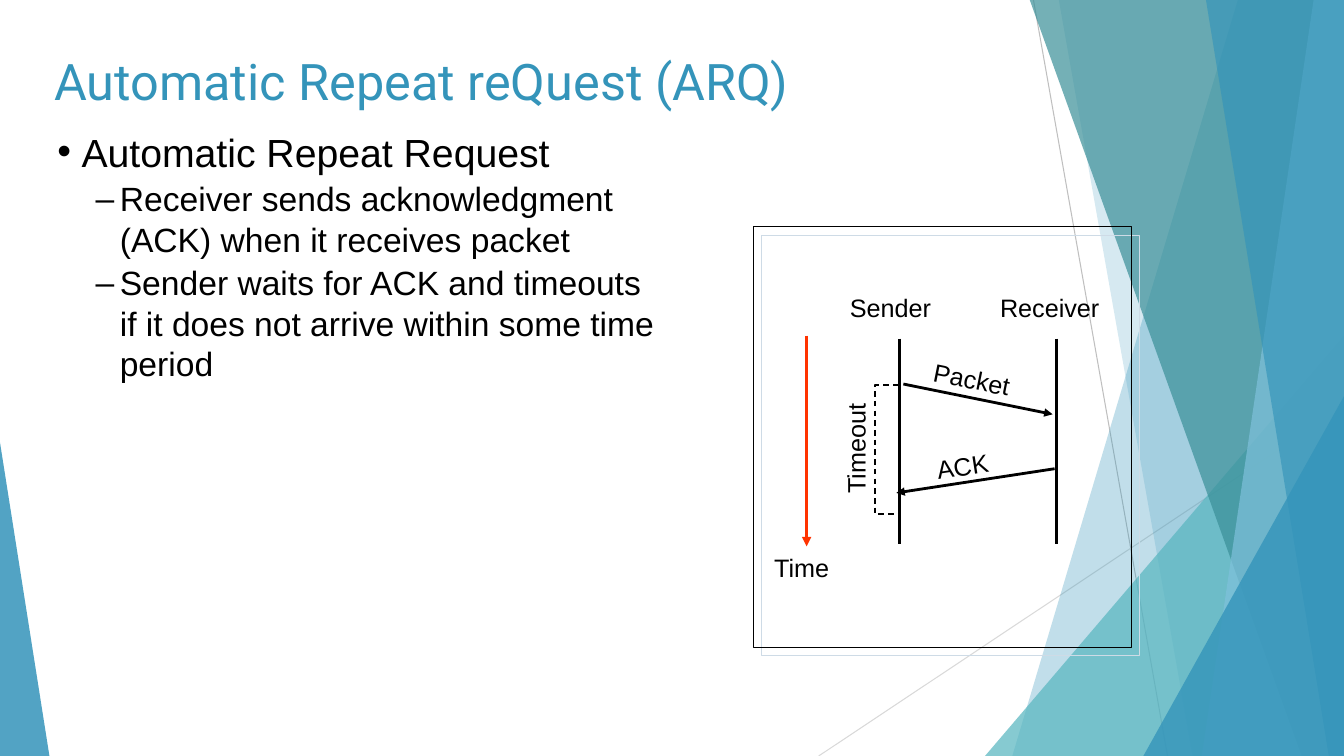
from lxml import etree
from pptx import Presentation
from pptx.dml.color import RGBColor
from pptx.enum import dml, shapes, text
from pptx.oxml import ns
from pptx.util import Inches, Pt

BLUE, TEAL, BLACK = "3494BA", "58B6C0", "000000"
TOP, BOTTOM, RIGHT = -0.01, 7.5, 13.33


def rgb(value):
    return RGBColor.from_string(value)


def add_xml(parent, tag, **attrs):
    el = etree.SubElement(parent, ns.qn(tag))
    for name, value in attrs.items():
        el.set(name, str(value))
    return el


def fill(sp, color, alpha):
    sp.shadow.inherit = False
    sp.line.fill.background()
    sp.fill.solid()
    sp.fill.fore_color.rgb = rgb(color)
    clr = sp.fill._xPr.find(".//" + ns.qn("a:srgbClr"))
    add_xml(clr, "a:alpha", val=alpha * 1000)


def outline(sp, color, width):
    sp.line.color.rgb = rgb(color)
    sp.line.width = Pt(width)


def polygon(slide, points, closed=True):
    pts = [(Inches(x), Inches(y)) for x, y in points]
    builder = slide.shapes.build_freeform(*pts[0])
    builder.add_line_segments(pts[1:], close=closed)
    return builder.convert_to_shape()


def band(slide, top_x, bottom_x, color, alpha):
    sp = polygon(slide, [(top_x, TOP), (RIGHT, TOP), (RIGHT, BOTTOM), (bottom_x, BOTTOM)])
    fill(sp, color, alpha)


def triangle(slide, left, top, width, apex, color, alpha):
    sp = slide.shapes.add_shape(shapes.MSO_SHAPE.ISOSCELES_TRIANGLE, Inches(left), Inches(top),
                                Inches(width), Inches(BOTTOM - top))
    sp.adjustments[0] = apex
    fill(sp, color, alpha)


def line(slide, start, end, color=BLACK, width=2, arrow=False):
    cx = slide.shapes.add_connector(shapes.MSO_CONNECTOR.STRAIGHT,
                                    *[Inches(v) for v in (*start, *end)])
    outline(cx, color, width)
    if arrow:
        add_xml(cx.line._get_or_add_ln(), "a:tailEnd", type="triangle")
    add_xml(cx._element.spPr, "a:effectLst")


def text_box(slide, left, top, width, height, anchor=text.MSO_ANCHOR.MIDDLE, wrap=True):
    sp = slide.shapes.add_textbox(Inches(left), Inches(top), Inches(width), Inches(height))
    tf = sp.text_frame
    tf.word_wrap = wrap
    tf.vertical_anchor = anchor
    return sp


def add_run(p, words, size, font="Arial", color=BLACK):
    r = p.add_run()
    r.text = words
    r.font.size = Pt(size)
    r.font.name = font
    r.font.color.rgb = rgb(color)


def label(slide, words, left, top, width, rotation=0, wrap=False):
    sp = text_box(slide, left, top, width, 0.4, wrap=wrap)
    sp.rotation = rotation
    add_run(sp.text_frame.paragraphs[0], words, 18)


def bullet(p, words, level, mark, indent, size, before):
    p.level = level
    p.space_before = Pt(before)
    pPr = p._p.get_or_add_pPr()
    pPr.set("marL", str(Inches(indent)))
    pPr.set("indent", str(Inches(-0.24)))
    add_xml(pPr, "a:buFont", typeface="Arial")
    add_xml(pPr, "a:buChar", char=mark)
    add_run(p, words, size)


def decoration(slide):
    line(slide, (10.25, 0), (11.58, 7.5), "BFBFBF", 0.75)
    line(slide, (RIGHT, 4.03), (8.12, 7.5), "D9D9D9", 0.75)
    band(slide, 12.28, 10.04, BLUE, 30)
    band(slide, 10.5, 11.83, BLUE, 20)
    triangle(slide, 9.77, 3.33, 3.56, 1, TEAL, 72)
    band(slide, 10.21, 12.91, "3A8F98", 70)
    band(slide, 13.03, 11.92, "7FC1DB", 70)
    band(slide, 11.96, 13.18, BLUE, 65)
    triangle(slide, 11.34, 3.93, 1.99, 1, BLUE, 80)
    triangle(slide, 0, 4.39, 0.49, 0, BLUE, 85)


def frame(slide):
    sp = slide.shapes.add_shape(shapes.MSO_SHAPE.RECTANGLE, Inches(7.47), Inches(2.25),
                                Inches(3.75), Inches(4.17))
    sp.fill.background()
    outline(sp, BLACK, 0.75)
    sp.shadow.inherit = False
    effects = sp._element.spPr.find(ns.qn("a:effectLst"))
    shadow = add_xml(effects, "a:outerShdw", dist=Pt(8.5), dir=45 * 60000, algn="ctr", rotWithShape=0)
    add_xml(shadow, "a:srgbClr", val="CEDBE6")


def timeout_bracket(slide):
    sp = polygon(slide, [(8.91, 3.82), (8.68, 3.82), (8.68, 5.1), (8.92, 5.1)], closed=False)
    sp.fill.background()
    sp.shadow.inherit = False
    outline(sp, BLACK, 1)
    sp.line.dash_style = dml.MSO_LINE.DASH


def diagram(slide):
    frame(slide)
    for x in (8.92, 10.48):
        line(slide, (x, 3.36), (x, 5.4))
    line(slide, (8, 3.33), (8, 5.42), "FF3300", 2.25, arrow=True)
    line(slide, (8.96, 3.81), (10.44, 4.11), arrow=True)
    line(slide, (10.46, 4.65), (8.89, 4.89), arrow=True)
    timeout_bracket(slide)
    label(slide, "Sender", 8.33, 2.85, 1.02)
    label(slide, "Receiver", 9.82, 2.85, 1.2)
    label(slide, "Time", 7.58, 5.43, 0.75)
    label(slide, "Packet", 9.16, 3.56, 0.97, 11.5)
    label(slide, "ACK", 9.19, 4.42, 0.72, 351.2)
    label(slide, "Timeout", 7.82, 4.13, 1.33, 270, wrap=True)


def body(slide):
    tf = text_box(slide, 0.47, 1.22, 6.12, 5.34, text.MSO_ANCHOR.TOP).text_frame
    bullet(tf.paragraphs[0], "Automatic Repeat Request", 0, "•", 0.24, 28, 0)
    for words in ("Receiver sends acknowledgment (ACK) when it receives packet",
                  "Sender waits for ACK and timeouts if it does not arrive within some time period"):
        bullet(tf.add_paragraph(), words, 1, "–", 0.62, 24, 2.4)


def main():
    prs = Presentation()
    prs.slide_width, prs.slide_height = Inches(13.33), Inches(7.5)
    slide = prs.slides.add_slide(prs.slide_layouts[6])
    decoration(slide)
    title = text_box(slide, 0.44, 0.42, 11.77, 0.75)
    add_run(title.text_frame.paragraphs[0], "Automatic Repeat reQuest (ARQ)", 36, "Roboto", BLUE)
    body(slide)
    diagram(slide)
    prs.save("out.pptx")


if __name__ == "__main__":
    main()
